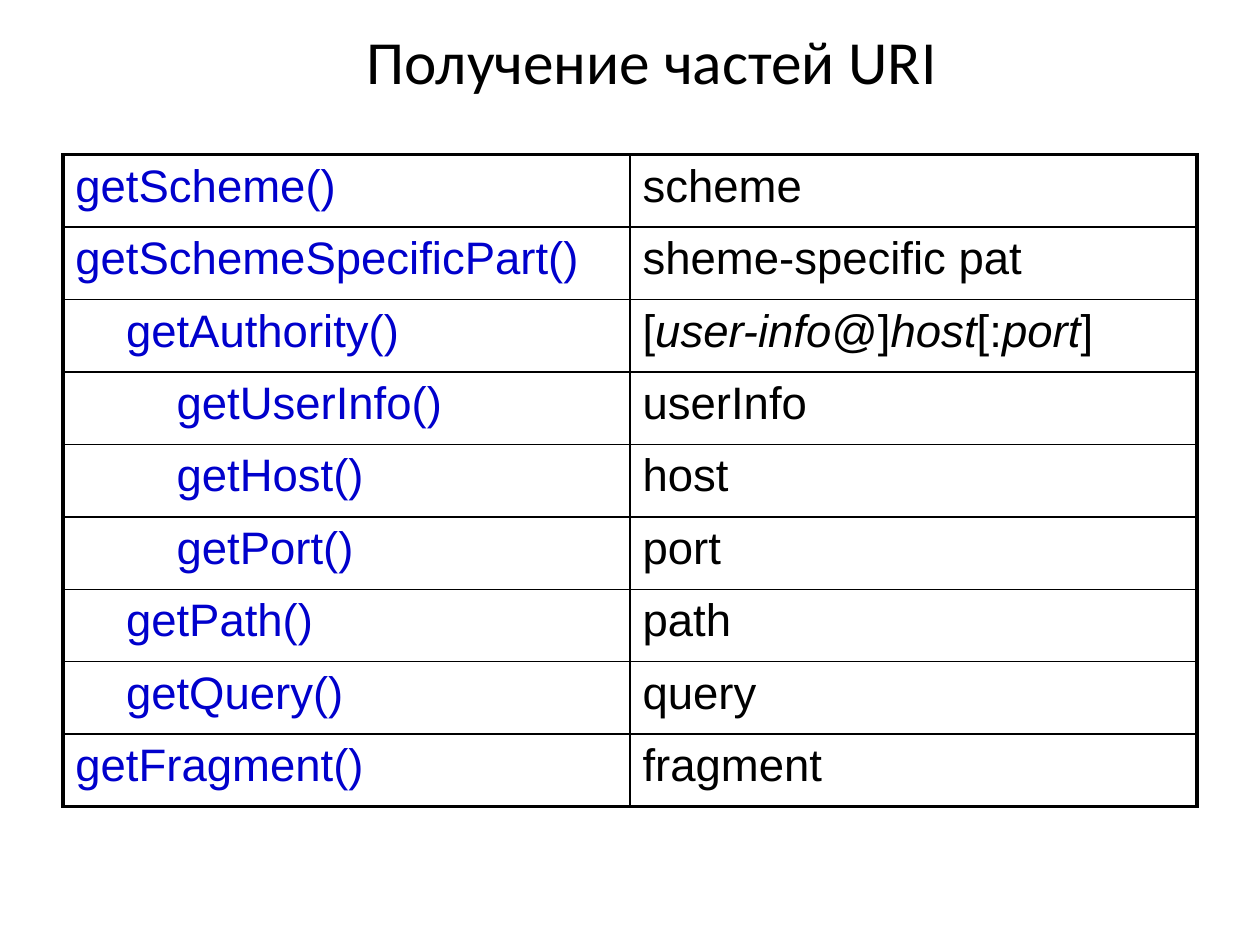
from lxml import etree
from pptx import Presentation
from pptx.dml.color import RGBColor
from pptx.enum.text import MSO_ANCHOR, PP_ALIGN
from pptx.oxml.ns import qn
from pptx.util import Cm, Pt

CENTER = PP_ALIGN.CENTER
MIDDLE = MSO_ANCHOR.MIDDLE

COLORS = {"text": "000000", "method": "0000CC", "border": "000000"}
INNER_LINE, OUTER_LINE = Pt(1), Pt(2.25)
CELL_MARGIN, INDENT = 0.25, 1.02

# Method, nesting level, parts of the result as (text, italic)
METHODS = [
    ("getScheme()", 0, [("scheme", False)]),
    ("getSchemeSpecificPart()", 0, [("sheme-specific pat", False)]),
    ("getAuthority()", 1, [("[", False), ("user-info", True), ("@]", False),
                           ("host", True), ("[:", False), ("port", True),
                           ("]", False)]),
    ("getUserInfo()", 2, [("userInfo", False)]),
    ("getHost()", 2, [("host", False)]),
    ("getPort()", 2, [("port", False)]),
    ("getPath()", 1, [("path", False)]),
    ("getQuery()", 1, [("query", False)]),
    ("getFragment()", 0, [("fragment", False)]),
]


def style_run(run, font_name, size, color, italic=False):
    run.font.name = font_name
    run.font.size = Pt(size)
    run.font.italic = italic
    run.font.color.rgb = RGBColor.from_string(COLORS[color])


def add_border(cell, side, width):
    properties = cell._tc.get_or_add_tcPr()
    line = etree.SubElement(properties, qn(f"a:ln{side}"), w=str(width))
    fill = etree.SubElement(line, qn("a:solidFill"))
    etree.SubElement(fill, qn("a:srgbClr"), val=COLORS["border"])


prs = Presentation()
prs.slide_width, prs.slide_height = Cm(25.4), Cm(19.05)
slide = prs.slides.add_slide(prs.slide_layouts[6])

# Title
title = slide.shapes.add_textbox(Cm(0.89), Cm(0.33), Cm(24.51), Cm(1.78))
title_frame = title.text_frame
title_frame.word_wrap = True
title_frame.vertical_anchor = MIDDLE
title_frame.text = "Получение частей URI"
title_frame.paragraphs[0].alignment = CENTER
style_run(title_frame.paragraphs[0].runs[0], "Calibri", 35, "text")

# Table of methods and the URI parts they return
row_count = len(METHODS)
methods_table = slide.shapes.add_table(
    row_count, 2, Cm(1.27), Cm(3.12), Cm(22.86), Cm(1.46 * row_count)).table
methods_table.first_row = False
methods_table.horz_banding = False

for row, (method, level, parts) in enumerate(METHODS):
    methods_table.rows[row].height = Cm(1.46)
    method_cell, part_cell = methods_table.cell(row, 0), methods_table.cell(row, 1)

    # Text, with nested methods indented
    method_cell.text_frame.text = method
    style_run(method_cell.text_frame.paragraphs[0].runs[0], "Arial", 26, "method")
    method_cell.margin_left = Cm(CELL_MARGIN + INDENT * level)
    for text, italic in parts:
        run = part_cell.text_frame.paragraphs[0].add_run()
        run.text = text
        style_run(run, "Arial", 26, "text", italic)

    # Thick frame outside, thin lines inside
    for column, cell in enumerate((method_cell, part_cell)):
        on_frame = {"L": column == 0, "R": column == 1,
                    "T": row == 0, "B": row == row_count - 1}
        for side, outer in on_frame.items():
            add_border(cell, side, OUTER_LINE if outer else INNER_LINE)
        cell.fill.background()

prs.save("out.pptx")
